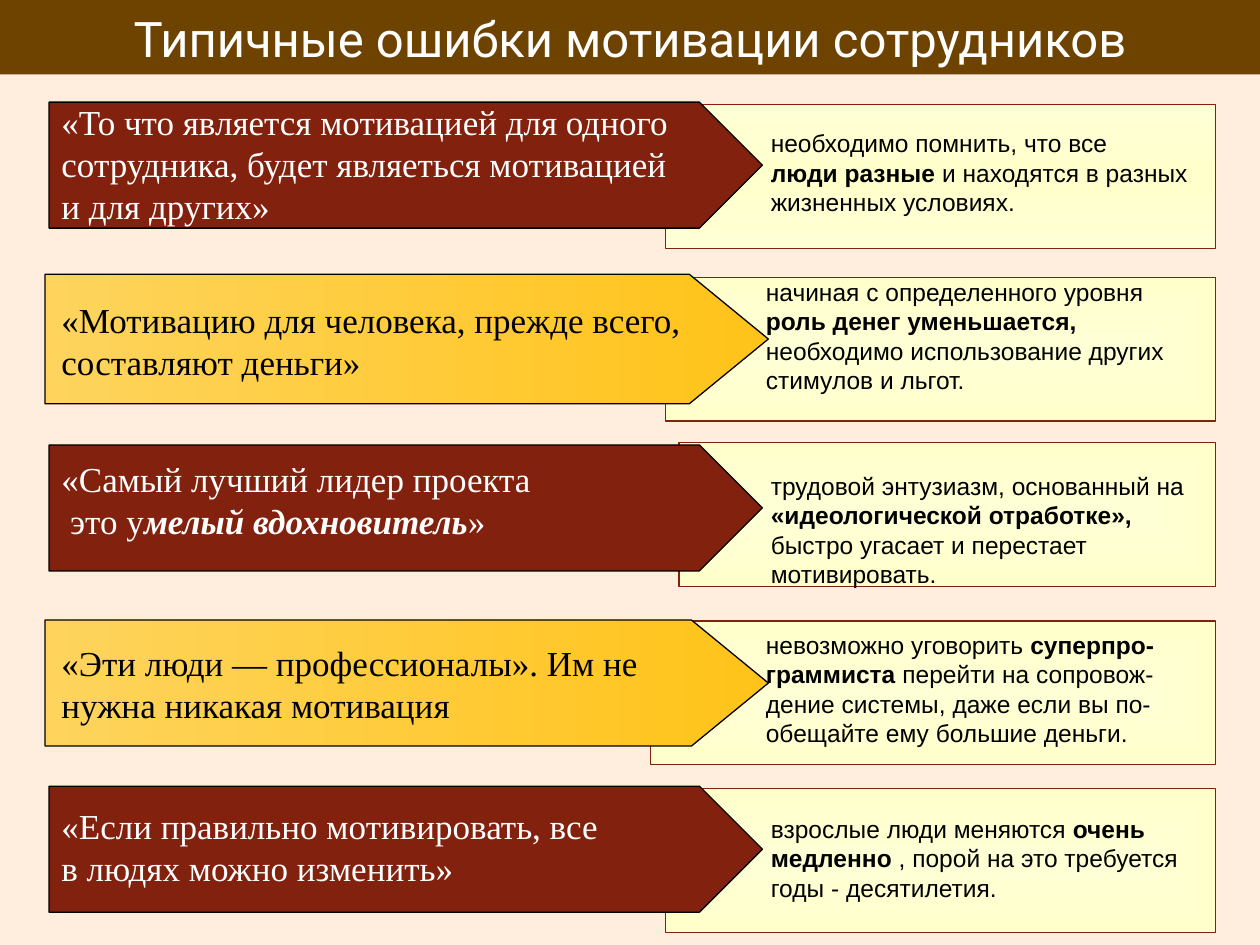
"""Build the slide on common mistakes in motivating staff."""
from typing import NamedTuple

from lxml.etree import SubElement as Sub
from pptx import Presentation
from pptx.dml.color import RGBColor as Rgb
from pptx.enum.shapes import MSO_SHAPE as Kind
from pptx.enum.text import MSO_ANCHOR as Anchor, MSO_AUTO_SIZE as Fit, PP_ALIGN as Align
from pptx.oxml.ns import qn
from pptx.util import Cm, Pt

CREAM = Rgb(0xFF, 0xED, 0xDE)
BROWN = Rgb(0x6E, 0x43, 0x00)
BRICK = Rgb(0x82, 0x21, 0x0D)
AMBER = Rgb(0xFF, 0xC3, 0x19)
GOLD = Rgb(0xFE, 0xD4, 0x5D)
PALE = Rgb(0xFF, 0xFF, 0xD5)
LEMON = Rgb(0xFF, 0xFF, 0xCC)
BLACK = Rgb(0, 0, 0)
WHITE = Rgb(0xFF, 0xFF, 0xFF)
EDGE = 24.5


class Bit(NamedTuple):
    text: str
    bold: bool = False
    slant: bool = False


Paras = list[list[Bit]]


class Look(NamedTuple):
    left: float
    width: float
    tip: float
    ink: Rgb
    note: float


class Row(NamedTuple):
    look: Look
    box: tuple[float, float]
    arrow: tuple[float, float]
    claim_top: float
    claim: Paras
    note: tuple[float, float]
    reply: Paras
    band: bool = False


DARK = Look(0.99, 14.38, 0.5, WHITE, 15.29)
LIGHT = Look(0.91, 14.58, 0.61, BLACK, 15.19)

ROWS = [
    Row(DARK, (13.41, 2.11), (2.06, 2.54), 1.91,
        [[Bit("«То что является мотивацией для одного сотрудника, будет являеться мотивацией")],
         [Bit("и для других»")]],
        (2.46, 2.03),
        [[Bit("необходимо помнить, что все")],
         [Bit("люди разные", True), Bit(" и находятся в разных жизненных условиях.")]],
        True),
    Row(LIGHT, (13.41, 5.59), (5.53, 2.61), 5.89,
        [[Bit("«Мотивацию для человека, прежде всего, составляют деньги»")]],
        (5.46, 2.64),
        [[Bit("начиная с определенного уровня"), Bit(" роль денег уменьшается,", True),
          Bit(" необходимо использование других стимулов и льгот.")]]),
    Row(DARK, (13.69, 8.92), (8.97, 2.54), 9.09,
        [[Bit("«Самый лучший лидер проекта")],
         [Bit(" это у"), Bit("мелый вдохновитель", True, True), Bit("»")]],
        (9.37, 2.64),
        [[Bit("трудовой энтузиазм, основанный на "), Bit("«идеологической отработке»,", True),
          Bit(" быстро угасает и перестает мотивировать.")]]),
    Row(LIGHT, (13.11, 12.52), (12.5, 2.54), 12.8,
        [[Bit("«Эти люди — профессионалы». Им не нужна никакая мотивация")]],
        (12.57, 2.64),
        [[Bit("невозможно уговорить "), Bit("суперпро-граммиста", True),
          Bit(" перейти на сопровож-дение системы, даже если вы по-обещайте ему большие деньги.")]]),
    Row(DARK, (13.41, 15.9), (15.85, 2.54), 16.1,
        [[Bit("«Если правильно мотивировать, все")], [Bit("в людях можно изменить»")]],
        (16.28, 2.03),
        [[Bit("взрослые люди меняются"), Bit(" очень медленно ", True),
          Bit(", порой на это требуется годы - десятилетия.")]]),
]


def blend(shape, tints: list[Rgb], angle: int | None = None) -> None:
    """Fill with evenly spaced tints, along an angle or out from the centre."""
    shape.fill.gradient()
    grad = shape.element.spPr.find(qn("a:gradFill"))
    grad.clear()
    stops = Sub(grad, qn("a:gsLst"))
    for i, tint in enumerate(tints):
        stop = Sub(stops, qn("a:gs"), pos=str(100000 * i // (len(tints) - 1)))
        Sub(stop, qn("a:srgbClr"), val=str(tint))
    if angle is None:
        way = Sub(grad, qn("a:path"), path="rect")
        Sub(way, qn("a:fillToRect"), {side: "50000" for side in "ltrb"})
    else:
        Sub(grad, qn("a:lin"), ang=str(angle * 60000), scaled="0")


def add_form(slide, kind: Kind, spot: tuple, line: Rgb):
    """Add an outlined preset shape."""
    shape = slide.shapes.add_shape(kind, *map(Cm, spot))
    shape.shadow.inherit = False
    shape.line.color.rgb = line
    shape.line.width = Pt(0.75)
    return shape


def add_run(para, bit: Bit, face: str, size: int, ink: Rgb) -> None:
    """Add one formatted run."""
    run = para.add_run()
    run.text = bit.text
    font = run.font
    font.name, font.size, font.color.rgb = face, Pt(size), ink
    font.bold, font.italic = bit.bold, bit.slant


def add_text(slide, spot: tuple, paras: Paras, face: str, size: int, ink: Rgb, fit: Fit) -> None:
    """Add a wrapped text box."""
    frame = slide.shapes.add_textbox(*map(Cm, spot)).text_frame
    frame.word_wrap = True
    frame.auto_size = fit
    for i, bits in enumerate(paras):
        para = frame.add_paragraph() if i else frame.paragraphs[0]
        for bit in bits:
            add_run(para, bit, face, size, ink)


def add_row(slide, row: Row) -> None:
    """Draw a claim on its arrow and the reply on its box."""
    look = row.look
    left, top = row.box
    box = add_form(slide, Kind.RECTANGLE, (left, top, EDGE - left, 2.9), BRICK)
    if row.band:
        blend(box, [PALE, LEMON, PALE], 90)
    else:
        blend(box, [PALE, LEMON])
    top, height = row.arrow
    arrow = add_form(slide, Kind.PENTAGON, (look.left, top, look.width, height), BLACK)
    arrow.adjustments[0] = look.tip
    if look is DARK:
        arrow.fill.solid()
        arrow.fill.fore_color.rgb = BRICK
    else:
        blend(arrow, [AMBER, GOLD], 180)
    top, height = row.note
    add_text(slide, (look.note, top, 9.3, height), row.reply, "Arial", 14, BLACK,
             Fit.SHAPE_TO_FIT_TEXT)
    add_text(slide, (0.99, row.claim_top, 13.79, 2.79), row.claim, "Times New Roman", 20,
             look.ink, Fit.NONE)


def add_title(slide, text: str) -> None:
    """Turn the title into a full-width band."""
    title = slide.shapes.title
    title.left, title.top, title.width, title.height = map(Cm, (0, 0, 25.4, 1.5))
    title.fill.solid()
    title.fill.fore_color.rgb = BROWN
    frame = title.text_frame
    frame.word_wrap = True
    frame.auto_size = Fit.NONE
    frame.vertical_anchor = Anchor.MIDDLE
    frame.margin_left = frame.margin_right = frame.margin_bottom = Cm(0.08)
    frame.margin_top = Cm(0.28)
    para = frame.paragraphs[0]
    para.alignment = Align.CENTER
    para.line_spacing = 0.86
    add_run(para, Bit(text), "Roboto", 28, WHITE)


def main() -> None:
    """Build and save the deck."""
    deck = Presentation()
    deck.slide_width, deck.slide_height = Cm(25.4), Cm(19.05)
    slide = deck.slides.add_slide(deck.slide_layouts[5])
    slide.background.fill.solid()
    slide.background.fill.fore_color.rgb = CREAM
    add_title(slide, "Типичные ошибки мотивации сотрудников")
    for row in ROWS:
        add_row(slide, row)
    deck.save("out.pptx")


if __name__ == "__main__":
    main()
